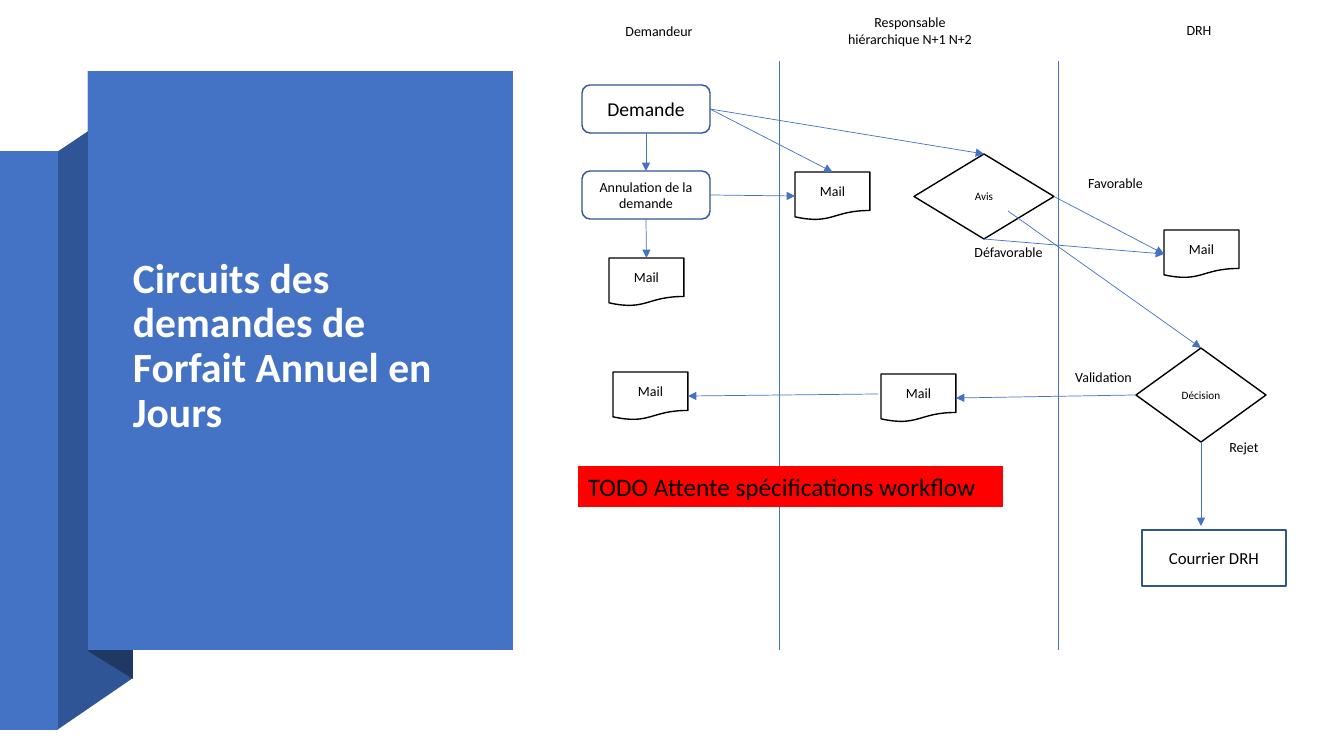
import pptx
import pptx.util
import pptx.dml.color
import pptx.enum.shapes
import pptx.enum.text
import pptx.oxml

PX = 9071
BLUE, OUTLINE, BLACK, WHITE = "4472C4", "325491", "000000", "FFFFFF"
KIND = pptx.enum.shapes.MSO_SHAPE
ALIGN = pptx.enum.text.PP_ALIGN
ANCHOR = pptx.enum.text.MSO_ANCHOR
STRAIGHT = pptx.enum.shapes.MSO_CONNECTOR.STRAIGHT
TOP, LEFT, BOTTOM, RIGHT = range(4)
DRAWING = 'xmlns:a="http://schemas.openxmlformats.org/drawingml/2006/main"'


def colour(hex_string):
    return pptx.dml.color.RGBColor.from_string(hex_string)


def write(shape, text, size=10, color=BLACK, bold=False, align=ALIGN.CENTER,
          anchor=ANCHOR.MIDDLE, spacing=1.0):
    frame = shape.text_frame
    frame.word_wrap = True
    frame.vertical_anchor = anchor
    paragraph = frame.paragraphs[0]
    paragraph.alignment = align
    paragraph.line_spacing = spacing
    run = paragraph.add_run()
    run.text = text
    run.font.name = "Calibri"
    run.font.size = pptx.util.Pt(size)
    run.font.bold = bold
    run.font.color.rgb = colour(color)


deck = pptx.Presentation()
deck.slide_width = 1344 * PX
deck.slide_height = 756 * PX
slide = deck.slides.add_slide(deck.slide_layouts[6])
shapes = slide.shapes

ribbon_folds = [
    ("2F5597", [(57, 730), (133, 678), (133, 101), (57, 152)]),
    ("203864", [(88, 651), (133, 679), (133, 100), (88, 71)]),
]
for fill, corners in ribbon_folds:
    outline = shapes.build_freeform(*corners[0], scale=PX)
    outline.add_line_segments(corners[1:], close=True)
    fold = outline.convert_to_shape()
    fold.shadow.inherit = False
    fold.fill.solid()
    fold.fill.fore_color.rgb = colour(fill)
    fold.line.fill.background()

for x, y, width in [(0, 151, 58), (88, 71, 425)]:
    panel = shapes.add_shape(KIND.RECTANGLE, x * PX, y * PX, width * PX, 579 * PX)
    panel.shadow.inherit = False
    panel.fill.solid()
    panel.fill.fore_color.rgb = colour(BLUE)
    panel.line.fill.background()

title = shapes.add_textbox(123 * PX, 266 * PX, 351 * PX, 162 * PX)
write(title, "Circuits des demandes de Forfait Annuel en Jours", size=29.7,
      color=WHITE, bold=True, align=ALIGN.LEFT, spacing=0.9)

for x in (779, 1058):
    lane = shapes.add_connector(STRAIGHT, x * PX, 61 * PX, x * PX, 650 * PX)
    lane.line.color.rgb = colour(BLUE)
    lane.line.width = pptx.util.Pt(0.5)
    pptx.oxml.ns
    lane._element.spPr.append(pptx.oxml.parse_xml(f"<a:effectLst {DRAWING}/>"))

steps = [
    ("demande", KIND.ROUNDED_RECTANGLE, 582, 85, 128, 48, "Demande", 14, OUTLINE),
    ("annulation", KIND.ROUNDED_RECTANGLE, 582, 171, 128, 48, "Annulation de la demande", 10, OUTLINE),
    ("avis", KIND.DIAMOND, 914, 154, 140, 85, "Avis", 8, BLACK),
    ("décision", KIND.DIAMOND, 1136, 348, 130, 94, "Décision", 8, BLACK),
    ("courrier", KIND.RECTANGLE, 1142, 530, 144, 56, "Courrier DRH", 12, OUTLINE),
]
mails = [
    ("mail annulation", 609, 258),
    ("mail responsable", 795, 172),
    ("mail avis", 1164, 230),
    ("mail validation", 881, 374),
    ("mail demandeur", 613, 372),
]
steps += [(key, KIND.FLOWCHART_DOCUMENT, x, y, 75, 48, "Mail", 10, BLACK) for key, x, y in mails]
captions = [
    ("Demandeur", 578, 16, 162, 29),
    ("Responsable hiérarchique N+1 N+2", 829, 16, 162, 29),
    ("DRH", 1118, 15, 162, 29),
    ("Favorable", 1076, 171, 79, 23),
    ("Défavorable", 960, 247, 97, 10),
    ("Validation", 1064, 365, 79, 23),
    ("Rejet", 1218, 436, 52, 22),
]
steps += [(text, KIND.RECTANGLE, *box, text, 10, None) for text, *box in captions]

nodes = {}
for key, kind, x, y, width, height, text, size, border in steps:
    node = shapes.add_shape(kind, x * PX, y * PX, width * PX, height * PX)
    node.shadow.inherit = False
    node.fill.solid()
    node.fill.fore_color.rgb = colour(WHITE)
    if border:
        node.line.color.rgb = colour(border)
        node.line.width = pptx.util.Pt(1)
    else:
        node.line.fill.background()
    write(node, text, size=size)
    nodes[key] = node

flows = [
    (("demande", BOTTOM), ("annulation", TOP)),
    (("annulation", BOTTOM), ("mail annulation", TOP)),
    (("annulation", RIGHT), ("mail responsable", LEFT)),
    (("demande", RIGHT), ("mail responsable", TOP)),
    (("demande", RIGHT), ("avis", TOP)),
    (("avis", RIGHT), ("mail avis", LEFT)),
    (("avis", BOTTOM), ("mail avis", LEFT)),
    ((1008, 211), ("décision", TOP)),
    (("décision", LEFT), ("mail validation", RIGHT)),
    ((878, 394), ("mail demandeur", RIGHT)),
    (("décision", BOTTOM), (1201, 526)),
]
for start, end in flows:
    arrow = shapes.add_connector(STRAIGHT, 0, 0, 0, 0)
    if start[0] in nodes:
        arrow.begin_connect(nodes[start[0]], start[1])
    else:
        arrow.begin_x, arrow.begin_y = start[0] * PX, start[1] * PX
    if end[0] in nodes:
        arrow.end_connect(nodes[end[0]], end[1])
    else:
        arrow.end_x, arrow.end_y = end[0] * PX, end[1] * PX
    arrow.line.color.rgb = colour(BLUE)
    arrow.line.width = pptx.util.Pt(0.5)
    arrow.line._get_or_add_ln().append(pptx.oxml.parse_xml(f'<a:tailEnd {DRAWING} type="triangle"/>'))
    arrow._element.spPr.append(pptx.oxml.parse_xml(f"<a:effectLst {DRAWING}/>"))

todo = shapes.add_shape(KIND.RECTANGLE, 578 * PX, 466 * PX, 425 * PX, 41 * PX)
todo.shadow.inherit = False
todo.fill.solid()
todo.fill.fore_color.rgb = colour("FF0000")
todo.line.fill.background()
write(todo, "TODO Attente spécifications workflow", size=18, align=ALIGN.LEFT, anchor=ANCHOR.TOP)

deck.save("out.pptx")
